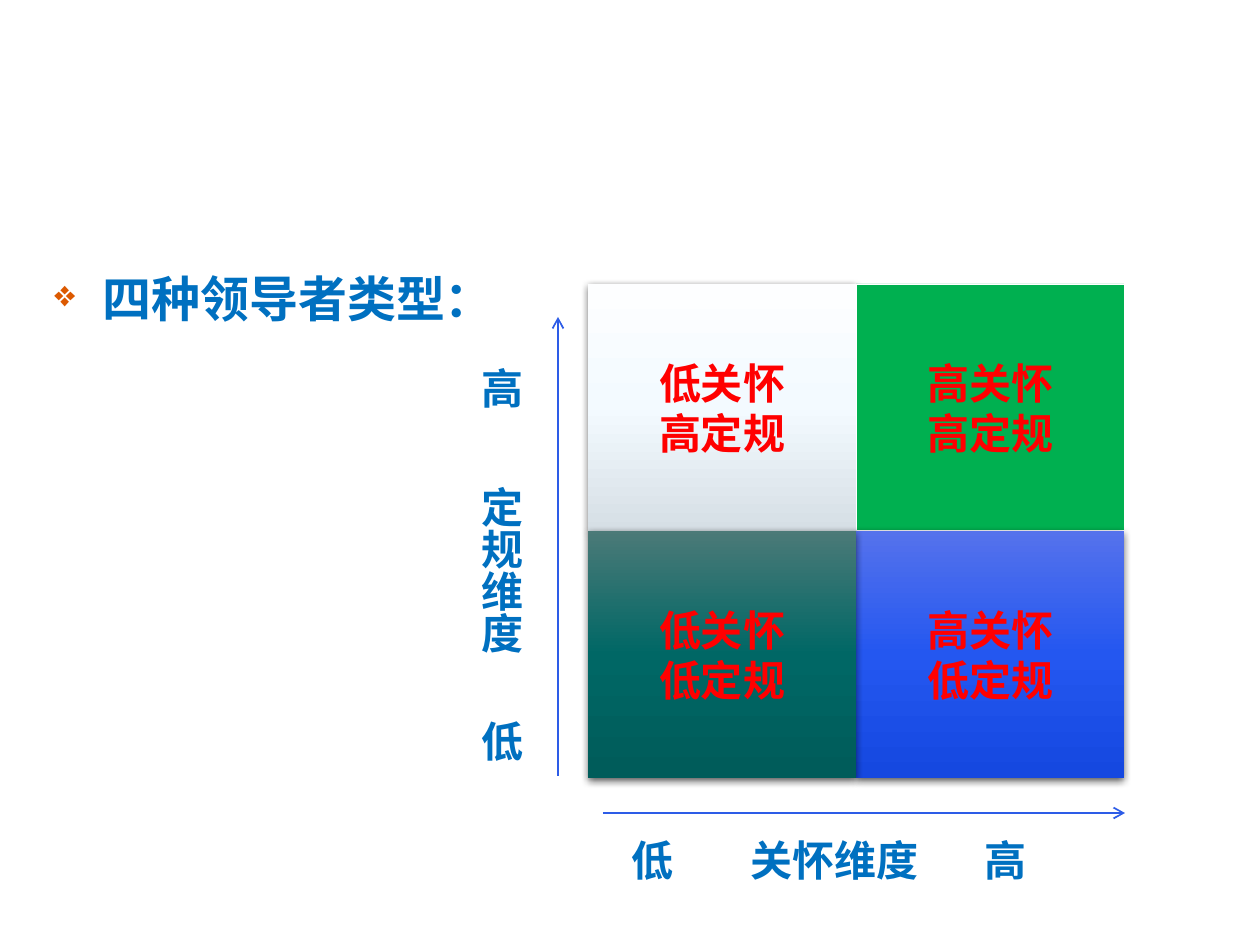
from dataclasses import dataclass

from lxml.etree import SubElement
from pptx import Presentation
from pptx.dml.color import RGBColor
from pptx.enum.shapes import MSO_CONNECTOR as Connector, MSO_SHAPE as Preset
from pptx.enum.text import MSO_ANCHOR as Anchor, MSO_AUTO_SIZE as AutoSize, PP_ALIGN as Align
from pptx.oxml.ns import qn
from pptx.util import Emu, Pt


@dataclass(frozen=True)
class Theme:
    heading: str = "0070C0"
    bullet: str = "DC5900"
    quadrant_text: str = "FF0000"
    axis: str = "2D5CE7"
    border: str = "FFFFFF"
    shadow: str = "000000"
    pale: tuple = ("FDFEFF", "F3FAFF", "D6DFE5")
    green: tuple = ("00B050",)
    blue: tuple = ("5572EC", "2457F0", "1548E0")
    teal: tuple = ("4B7A78", "006765", "005C5A")
    heading_size: int = 28
    label_size: int = 24
    body_font: str = "Arial"
    axis_font: str = "Calibri"


def px(length):
    return Emu(round(length * 914400 / 126))


def add_node(parent, tag, **attributes):
    node = SubElement(parent, qn(tag))
    for name, value in attributes.items():
        node.set(name, str(value))
    return node


class SlideBuilder:
    """Draws themed elements on one slide."""

    def __init__(self, slide, theme):
        self.slide = slide
        self.theme = theme

    def add_run(self, paragraph, text, size, color, font):
        run = paragraph.add_run()
        run.text = text
        run.font.size = Pt(size)
        run.font.bold = True
        run.font.name = font
        run.font.color.rgb = RGBColor.from_string(color)

    def text_box(self, left, top, width, height):
        box = self.slide.shapes.add_textbox(px(left), px(top), px(width), px(height))
        box.text_frame.word_wrap = True
        return box.text_frame

    def bullet(self, text, left, top, width, height):
        theme = self.theme
        paragraph = self.text_box(left, top, width, height).paragraphs[0]
        paragraph.space_before = Pt(theme.heading_size * 0.2)
        properties = paragraph._p.get_or_add_pPr()
        properties.set("marL", str(px(48)))
        properties.set("indent", str(px(-48)))
        color = add_node(properties, "a:buClr")
        add_node(color, "a:srgbClr", val=theme.bullet)
        add_node(properties, "a:buSzPct", val=75000)
        add_node(properties, "a:buChar", char="❖")
        self.add_run(paragraph, text, theme.heading_size, theme.heading, theme.body_font)

    def gradient(self, shape, colors):
        shape.fill.gradient()
        shape.fill.gradient_angle = 270
        stops = shape._element.spPr.find(qn("a:gradFill")).find(qn("a:gsLst"))
        for stop in list(stops):
            stops.remove(stop)
        for index, color in enumerate(colors):
            stop = add_node(stops, "a:gs", pos=index * 50000)
            add_node(stop, "a:srgbClr", val=color)

    def drop_shadow(self, shape):
        effects = shape._element.spPr.find(qn("a:effectLst"))
        shadow = add_node(effects, "a:outerShdw", blurRad=Pt(4.5), dist=Pt(1.5),
                          dir=5400000, rotWithShape=0)
        color = add_node(shadow, "a:srgbClr", val=self.theme.shadow)
        add_node(color, "a:alpha", val=63000)

    def quadrant(self, lines, colors, left, top, width, height):
        theme = self.theme
        shape = self.slide.shapes.add_shape(
            Preset.RECTANGLE, px(left), px(top), px(width), px(height))
        shape.shadow.inherit = False
        if len(colors) > 1:
            self.gradient(shape, colors)
            shape.line.fill.background()
            self.drop_shadow(shape)
        else:
            shape.fill.solid()
            shape.fill.fore_color.rgb = RGBColor.from_string(colors[0])
            shape.line.color.rgb = RGBColor.from_string(theme.border)
            shape.line.width = Pt(0.5)
        frame = shape.text_frame
        frame.vertical_anchor = Anchor.MIDDLE
        for index, line in enumerate(lines):
            paragraph = frame.add_paragraph() if index else frame.paragraphs[0]
            paragraph.alignment = Align.CENTER
            self.add_run(paragraph, line, theme.label_size, theme.quadrant_text, theme.body_font)

    def arrow(self, start, end):
        connector = self.slide.shapes.add_connector(
            Connector.STRAIGHT, *map(px, start + end))
        connector.line.color.rgb = RGBColor.from_string(self.theme.axis)
        connector.line.width = Pt(1)
        add_node(connector.line._get_or_add_ln(), "a:tailEnd", type="arrow")
        add_node(connector._element.spPr, "a:effectLst")

    def axis_label(self, words, left, top, width, height, vertical=False):
        theme = self.theme
        frame = self.text_box(left, top, width, height)
        frame.auto_size = AutoSize.SHAPE_TO_FIT_TEXT
        if vertical:
            frame._txBody.bodyPr.set("vert", "eaVert")
        paragraph = frame.paragraphs[0]
        tabs = add_node(paragraph._p.get_or_add_pPr(), "a:tabLst")
        for position in (119, 353):
            add_node(tabs, "a:tab", pos=px(position), algn="l")
        self.add_run(paragraph, "\t".join(words), theme.label_size, theme.heading, theme.axis_font)


def main():
    presentation = Presentation()
    presentation.slide_width, presentation.slide_height = px(1260), px(945)
    slide = presentation.slides.add_slide(presentation.slide_layouts[6])
    theme = Theme()
    builder = SlideBuilder(slide, theme)

    builder.bullet("四种领导者类型：", 42, 262, 1177, 578)

    left, top, width, height = 588, 284, 268, 247
    quadrants = (
        ("低关怀", "高定规", theme.pale, 0, 0),
        ("高关怀", "高定规", theme.green, 1, 0),
        ("高关怀", "低定规", theme.blue, 1, 1),
        ("低关怀", "低定规", theme.teal, 0, 1),
    )
    for care, structure, colors, column, row in quadrants:
        builder.quadrant((care, structure), colors,
                         left + column * width, top + row * height, width, height)

    builder.arrow((603, 813), (1125, 813))
    builder.arrow((558, 776), (558, 317))
    builder.axis_label(("低", "关怀维度", "高"), 619, 828, 537, 63)
    builder.axis_label(("高", "定规维度", "低"), 456, 355, 76, 437, vertical=True)

    presentation.save("out.pptx")


if __name__ == "__main__":
    main()
